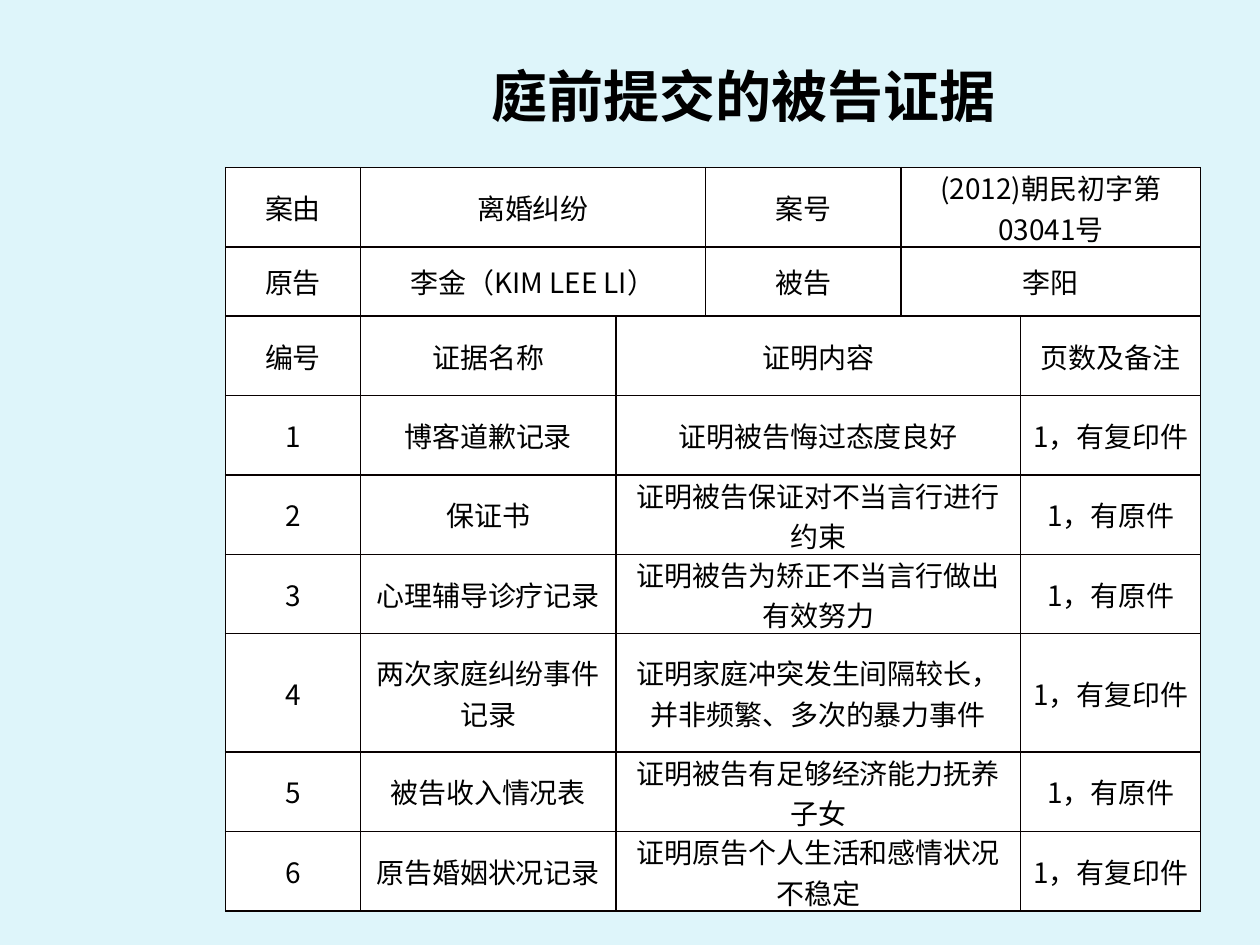
from dataclasses import dataclass
from itertools import accumulate

from lxml import etree
from pptx import Presentation
from pptx import util as u
from pptx.dml.color import RGBColor
from pptx.enum import text
from pptx.oxml import ns

FONT = "Noto Sans CJK SC"
INK, PAPER, BACKGROUND, BORDER = "000000", "FFFFFF", "DEF5FA", "080000"
WIDTH, HEIGHT = u.Inches(10), u.Inches(7.5)
COLUMNS = (10.7, 20.3, 7.1, 15.5, 9.5, 14.3)
CASE_SPANS, EVIDENCE_SPANS = (1, 2, 1, 2), (1, 1, 3, 1)
ORIGINAL, PHOTOCOPY = "1，有原件", "1，有复印件"


@dataclass(frozen=True)
class Row:
    """One table row: texts, column spans and height in percent of the slide."""
    texts: tuple[str, ...]
    spans: tuple[int, ...] = EVIDENCE_SPANS
    height: float = 8.4


EVIDENCE = (
    ("博客道歉记录", "证明被告悔过态度良好", PHOTOCOPY),
    ("保证书", "证明被告保证对不当言行进行约束", ORIGINAL),
    ("心理辅导诊疗记录", "证明被告为矫正不当言行做出有效努力", ORIGINAL),
    ("两次家庭纠纷事件记录", "证明家庭冲突发生间隔较长，并非频繁、多次的暴力事件", PHOTOCOPY),
    ("被告收入情况表", "证明被告有足够经济能力抚养子女", ORIGINAL),
    ("原告婚姻状况记录", "证明原告个人生活和感情状况不稳定", PHOTOCOPY),
)
TALL_ITEM = 4
ROWS = (
    Row(("案由", "离婚纠纷", "案号", "(2012)朝民初字第03041号"), CASE_SPANS),
    Row(("原告", "李金（KIM LEE LI）", "被告", "李阳"), CASE_SPANS, 7.33),
    Row(("编号", "证据名称", "证明内容", "页数及备注")),
    *(Row((str(number), *item), height=12.53 if number == TALL_ITEM else 8.4)
      for number, item in enumerate(EVIDENCE, 1)),
)


def across(percent: float) -> int:
    """Turn a percentage of the slide width into a length."""
    return round(WIDTH * percent / 100)


def down(percent: float) -> int:
    """Turn a percentage of the slide height into a length."""
    return round(HEIGHT * percent / 100)


def paint(fill, colour: str) -> None:
    """Give a fill one solid colour."""
    fill.solid()
    fill.fore_color.rgb = RGBColor.from_string(colour)


def assign(target, values: dict) -> None:
    """Set several attributes on one object."""
    for name, value in values.items():
        setattr(target, name, value)


def write(frame, words: str, size: int, bold: bool = False) -> None:
    """Put one centred paragraph into a text frame."""
    frame.word_wrap = True
    paragraph = frame.paragraphs[0]
    paragraph.alignment = text.PP_ALIGN.CENTER
    run = paragraph.add_run()
    run.text = words
    assign(run.font, {"name": FONT, "size": u.Pt(size), "bold": bold})
    run.font.color.rgb = RGBColor.from_string(INK)
    etree.SubElement(run.font._element, ns.qn("a:ea"), typeface=FONT)


def outline(cell) -> None:
    """Draw a thin line on all four sides of a cell."""
    properties = cell._tc.get_or_add_tcPr()
    for position, side in enumerate(("lnL", "lnR", "lnT", "lnB")):
        line = etree.Element(ns.qn(f"a:{side}"), w=str(u.Pt(1)))
        solid = etree.SubElement(line, ns.qn("a:solidFill"))
        etree.SubElement(solid, ns.qn("a:srgbClr"), val=BORDER)
        properties.insert(position, line)


def add_title(slide, words: str) -> None:
    """Add the heading above the table."""
    box = slide.shapes.add_textbox(across(30.3), down(5.87), across(57.5), down(8.53))
    write(box.text_frame, words, 32, bold=True)


def add_evidence_table(slide, rows: tuple[Row, ...]) -> None:
    """Add the table with its merged columns."""
    table = slide.shapes.add_table(
        len(rows), len(COLUMNS), across(17.9), down(17.73),
        across(sum(COLUMNS)), down(sum(row.height for row in rows))).table
    assign(table, {"first_row": False, "horz_banding": False})
    for column, share in zip(table.columns, COLUMNS):
        column.width = across(share)
    for index, row in enumerate(rows):
        table.rows[index].height = down(row.height)
        for cell in table.rows[index].cells:
            paint(cell.fill, PAPER)
            outline(cell)
            assign(cell, {
                "margin_left": across(0.7), "margin_right": across(0.7),
                "margin_top": 0, "margin_bottom": 0,
                "vertical_anchor": text.MSO_ANCHOR.MIDDLE})
        starts = accumulate(row.spans[:-1], initial=0)
        for start, span, words in zip(starts, row.spans, row.texts):
            cell = table.cell(index, start)
            if span > 1:
                cell.merge(table.cell(index, start + span - 1))
            write(cell.text_frame, words, 16)


def main() -> None:
    """Build and save the slide."""
    presentation = Presentation()
    assign(presentation, {"slide_width": WIDTH, "slide_height": HEIGHT})
    slide = presentation.slides.add_slide(presentation.slide_layouts[6])
    paint(slide.background.fill, BACKGROUND)
    add_title(slide, "庭前提交的被告证据")
    add_evidence_table(slide, ROWS)
    presentation.save("out.pptx")


if __name__ == "__main__":
    main()
